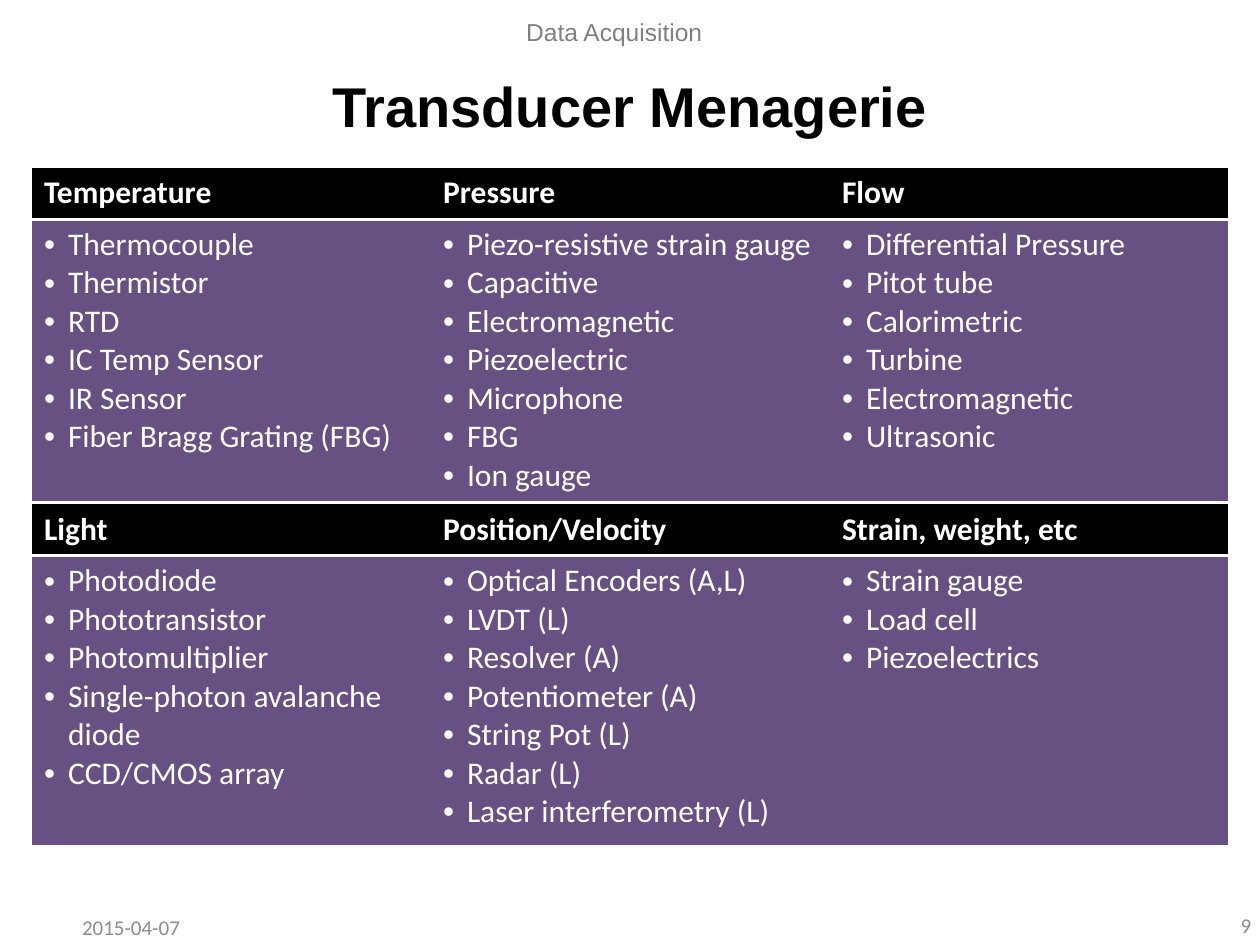
from lxml import etree
from pptx import Presentation
from pptx.dml.color import RGBColor
from pptx.enum.text import MSO_ANCHOR, PP_ALIGN
from pptx.oxml.ns import qn
from pptx.util import Inches, Pt

CENTER, RIGHT = PP_ALIGN.CENTER, PP_ALIGN.RIGHT
MIDDLE = MSO_ANCHOR.MIDDLE
BLACK = RGBColor(0x00, 0x00, 0x00)
WHITE = RGBColor(0xFF, 0xFF, 0xFF)
PURPLE = RGBColor(0x67, 0x50, 0x82)
HEADER_GRAY = RGBColor(0x80, 0x80, 0x80)
FOOTER_GRAY = RGBColor(0x8C, 0x8C, 0x8C)
PLAIN_TABLE_STYLE = "{2D5ABB26-0587-4C30-8999-92F81FD0307C}"

prs = Presentation()
prs.slide_width, prs.slide_height = Inches(10), Inches(7.5)
slide = prs.slides.add_slide(prs.slide_layouts[6])


def add_bullet(paragraph):
    properties = paragraph._p.get_or_add_pPr()
    properties.set("marL", str(Inches(0.19)))
    properties.set("indent", str(-Inches(0.19)))
    etree.SubElement(properties, qn("a:buFont"), typeface="Arial")
    etree.SubElement(properties, qn("a:buChar"), char="•")


def add_bottom_rule(cell):
    """Give the cell a 2 pt white line along its bottom edge."""
    rule = etree.Element(qn("a:lnB"), w=str(Pt(2)))
    fill = etree.SubElement(rule, qn("a:solidFill"))
    etree.SubElement(fill, qn("a:srgbClr"), val=str(WHITE))
    # Borders have to come before the fill
    cell._tc.get_or_add_tcPr().insert(0, rule)


# Title, running header and footer
captions = [
    ("Transducer Menagerie", 0.5, 0.5, 9, 0.67, "Arial", 32, BLACK, True, CENTER),
    ("Data Acquisition", 3, 0.05, 3.75, 0.4, "Arial", 14, HEADER_GRAY, False, CENTER),
    ("2015-04-07", 0.5, 7.16, 1.08, 0.4, "Calibri", 12, FOOTER_GRAY, False, CENTER),
    ("9", 7.7, 7.13, 2.33, 0.42, "Calibri", 12, FOOTER_GRAY, False, RIGHT),
]
for text, left, top, width, height, font_name, size, color, bold, align in captions:
    caption = slide.shapes.add_textbox(
        Inches(left), Inches(top), Inches(width), Inches(height))
    frame = caption.text_frame
    frame.word_wrap = True
    frame.vertical_anchor = MIDDLE
    paragraph = frame.paragraphs[0]
    paragraph.text = text
    paragraph.alignment = align
    paragraph.font.name = font_name
    paragraph.font.size = Pt(size)
    paragraph.font.bold = bold
    paragraph.font.color.rgb = color

# Each group: top, row heights, transducers by measured quantity
transducer_groups = [
    (1.33, (0.41, 2.24), {
        "Temperature": ["Thermocouple", "Thermistor", "RTD", "IC Temp Sensor",
                        "IR Sensor", "Fiber Bragg Grating (FBG)"],
        "Pressure": ["Piezo-resistive strain gauge", "Capacitive",
                     "Electromagnetic", "Piezoelectric", "Microphone", "FBG",
                     "Ion gauge"],
        "Flow": ["Differential Pressure", "Pitot tube", "Calorimetric",
                 "Turbine", "Electromagnetic", "Ultrasonic"],
    }),
    (4, (0.41, 2.3), {
        "Light": ["Photodiode", "Phototransistor", "Photomultiplier",
                  "Single-photon avalanche diode", "CCD/CMOS array"],
        "Position/Velocity": ["Optical Encoders (A,L)", "LVDT (L)",
                              "Resolver (A)", "Potentiometer (A)",
                              "String Pot (L)", "Radar (L)",
                              "Laser interferometry (L)"],
        "Strain, weight, etc": ["Strain gauge", "Load cell", "Piezoelectrics"],
    }),
]
for top, row_heights, transducers in transducer_groups:
    table = slide.shapes.add_table(
        2, len(transducers), Inches(0.25), Inches(top),
        Inches(9.5), Inches(sum(row_heights))).table
    table.horz_banding = False
    table._tbl.tblPr.find(qn("a:tableStyleId")).text = PLAIN_TABLE_STYLE
    for row, height in zip(table.rows, row_heights):
        row.height = Inches(height)

    for column, (quantity, devices) in enumerate(transducers.items()):
        heading, listing = table.cell(0, column), table.cell(1, column)
        heading.text = quantity
        listing.text = "\n".join(devices)
        for cell, fill_color in ((heading, BLACK), (listing, PURPLE)):
            cell.fill.solid()
            cell.fill.fore_color.rgb = fill_color
            for paragraph in cell.text_frame.paragraphs:
                paragraph.font.name = "Calibri"
                paragraph.font.size = Pt(18)
                paragraph.font.bold = cell is heading
                paragraph.font.color.rgb = WHITE
        add_bottom_rule(heading)
        for paragraph in listing.text_frame.paragraphs:
            add_bullet(paragraph)

prs.save("out.pptx")
